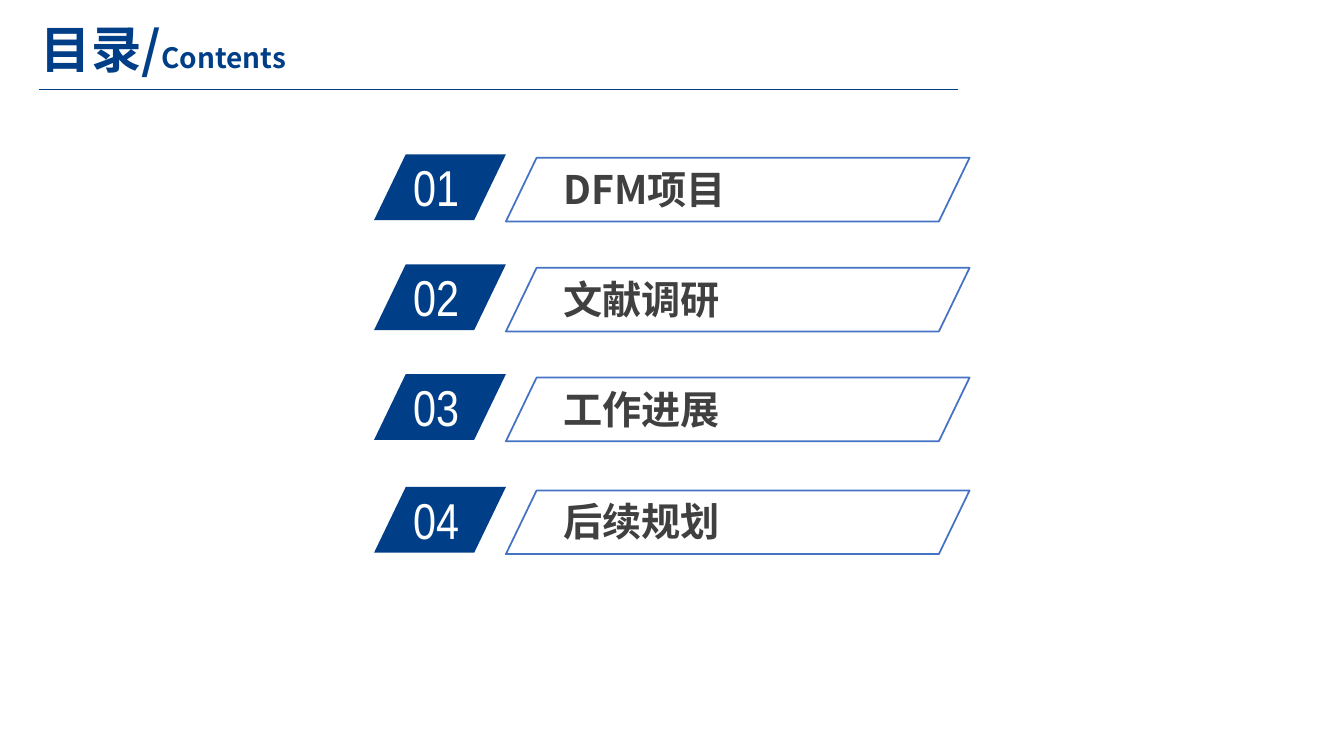
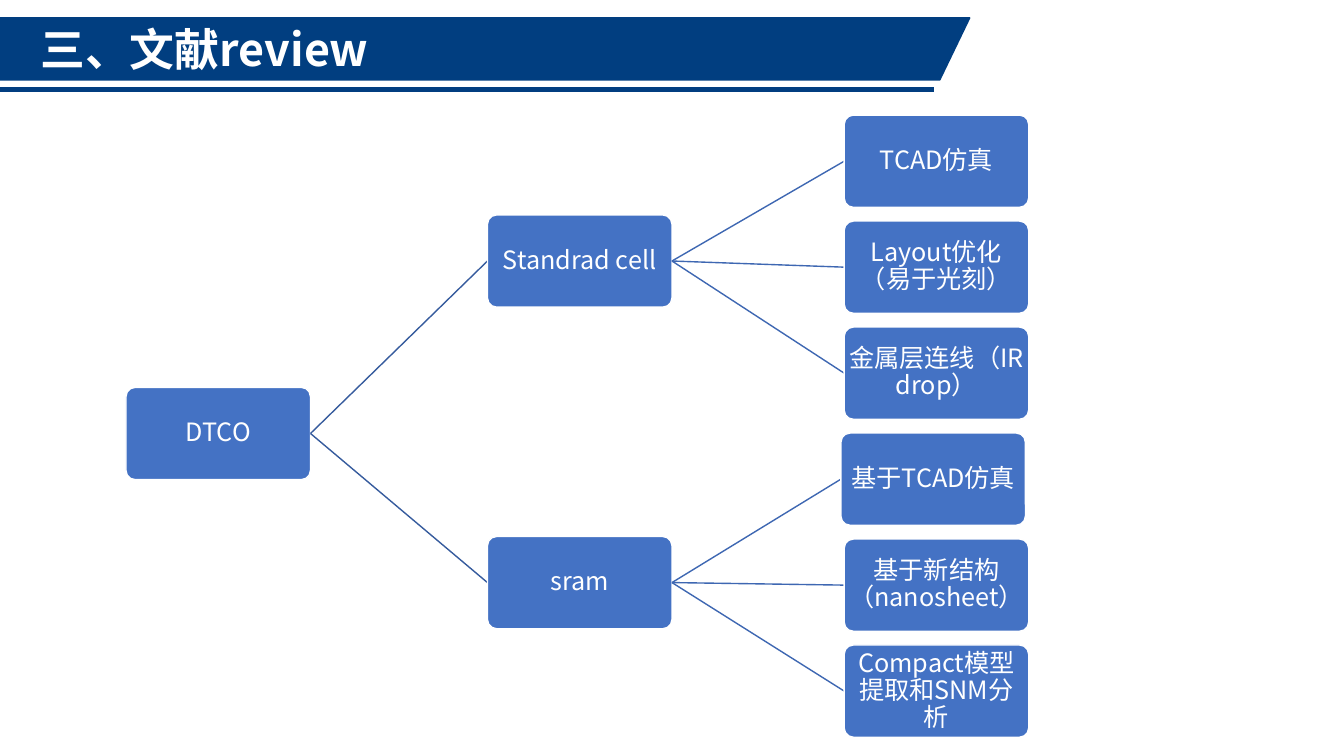
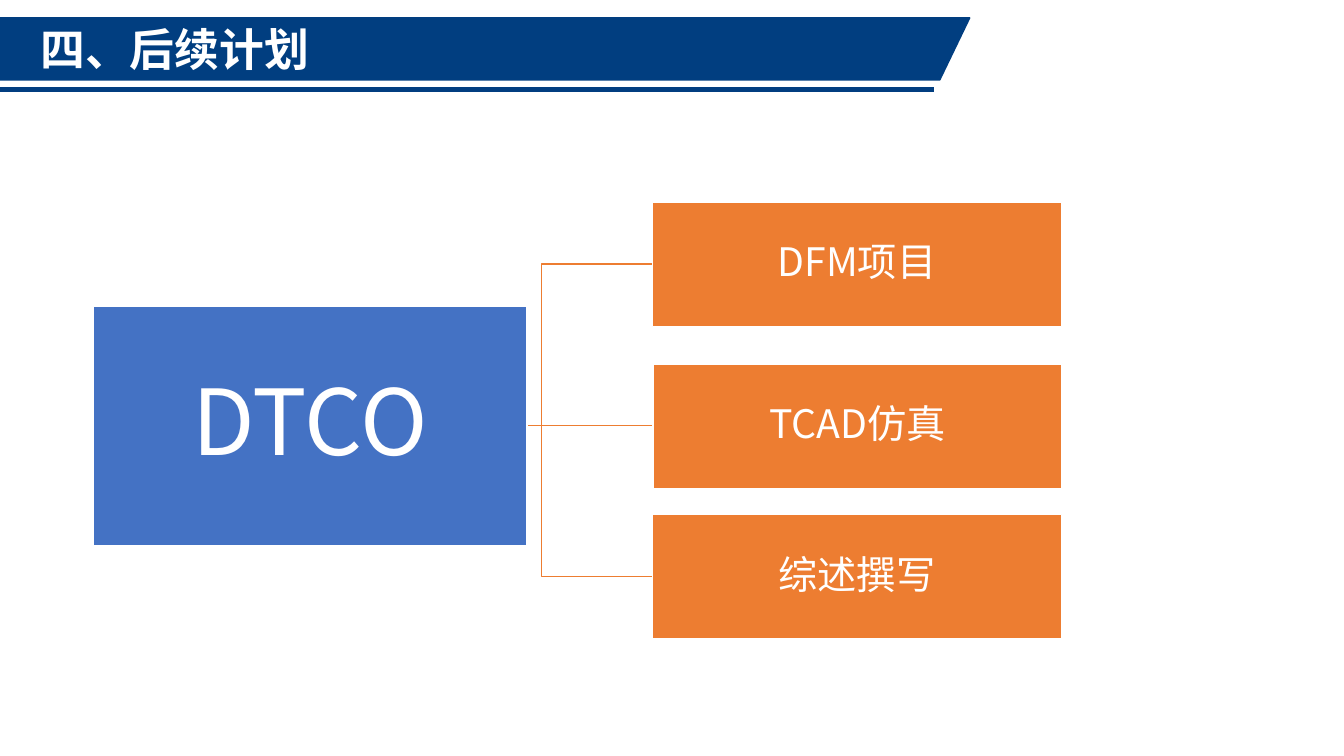
from lxml import etree
from pptx import Presentation
from pptx.dml.color import RGBColor
from pptx.enum.shapes import MSO_CONNECTOR, MSO_SHAPE
from pptx.enum.text import MSO_ANCHOR, PP_ALIGN
from pptx.oxml.ns import qn
from pptx.util import Pt

SLANT, ROUND, RECT = MSO_SHAPE.PARALLELOGRAM, MSO_SHAPE.ROUNDED_RECTANGLE, MSO_SHAPE.RECTANGLE
STRAIGHT, ELBOW = MSO_CONNECTOR.STRAIGHT, MSO_CONNECTOR.ELBOW
LEFT, CENTER = PP_ALIGN.LEFT, PP_ALIGN.CENTER
TOP, MIDDLE = MSO_ANCHOR.TOP, MSO_ANCHOR.MIDDLE

COLORS = {
    "navy": "003F88", "band": "013E80", "blue": "4472C4", "orange": "ED7D31",
    "trunk": "365B9D", "twig": "3E67B2", "ink": "404040", "white": "FFFFFF",
}
FONT, THIN = "Noto Sans CJK SC", "Arial Narrow"
SKEW = 0.482

AGENDA = [
    ("01", "DFM项目", 110.2),
    ("02", "文献调研", 188.8),
    ("03", "工作进展", 267.2),
    ("04", "后续规划", 347.8),
]
REVIEW = "三、文献review"
TREE = [
    ("Standrad cell", 153.5, ["TCAD仿真", "Layout优化（易于光刻）", "金属层连线（IR drop）"]),
    ("sram", 383.2, ["基于TCAD仿真", "基于新结构（nanosheet）", "Compact模型提取和SNM分析"]),
]
NUDGE = {"基于TCAD仿真": -2.3}
PLAN = "四、后续计划"
TASKS = [("DFM项目", 466, 144.2), ("TCAD仿真", 466.4, 259.9), ("综述撰写", 466, 367.4)]
ROOT = "DTCO"


def color(name):
    return RGBColor.from_string(COLORS[name])


def put_text(shape, runs, size=18, font=FONT, ink="white", bold=False,
             align=LEFT, anchor=TOP, inset=(5, 2.7), lead=None):
    frame = shape.text_frame
    frame.word_wrap = True
    frame.vertical_anchor = anchor
    frame.margin_left = frame.margin_right = Pt(inset[0])
    frame.margin_top = frame.margin_bottom = Pt(inset[1])
    para = frame.paragraphs[0]
    para.alignment = align
    if lead:
        para.line_spacing = lead
    for text, points in [(runs, size)] if isinstance(runs, str) else runs:
        run = para.add_run()
        run.text = text
        run.font.size = Pt(points)
        run.font.name = font
        run.font.bold = bold
        run.font.color.rgb = color(ink)
        east = etree.SubElement(run.font._element, qn("a:ea"))
        east.set("typeface", font)


def add_text(slide, box, runs, **style):
    put_text(slide.shapes.add_textbox(*map(Pt, box)), runs, **style)


def add_box(slide, kind, box, fill=None, line=None, width=1, adj=None):
    shape = slide.shapes.add_shape(kind, *map(Pt, box))
    shape.shadow.inherit = False
    if adj is not None:
        shape.adjustments[0] = adj
    if fill:
        shape.fill.solid()
        shape.fill.fore_color.rgb = color(fill)
    else:
        shape.fill.background()
    if line:
        shape.line.color.rgb = color(line)
        shape.line.width = Pt(width)
    else:
        shape.line.fill.background()
    return shape


def add_line(slide, start, end, ink, width=1, kind=STRAIGHT):
    line = slide.shapes.add_connector(kind, *map(Pt, (*start, *end)))
    line.line.color.rgb = color(ink)
    line.line.width = Pt(width)
    etree.SubElement(line._element.spPr, qn("a:effectLst"))


def add_node(slide, kind, box, text, fill="blue", size=18, inset=1, adj=None):
    node = add_box(slide, kind, box, fill, "white", adj=adj)
    put_text(node, text, size=size, align=CENTER, anchor=MIDDLE,
             inset=(inset, inset), lead=0.9)


def add_band(slide, title):
    add_box(slide, SLANT, (-21, 12.8, 713.5, 44.2), "band", "band", 1.25, SKEW)
    add_text(slide, (23.8, 12.8, 283, 44), title, size=32, bold=True)
    add_line(slide, (-0.7, 64), (667, 64), "band", 3.5)


def build_agenda(slide):
    add_text(slide, (-8.6, 15.1, 250.6, 38.9), [("目录/", 36), ("Contents", 20)],
             ink="navy", bold=True, align=CENTER, anchor=MIDDLE, inset=(7.2, 3.6))
    add_line(slide, (28, 64.1), (684, 64.1), "navy", 0.5)
    for number, label, top in AGENDA:
        add_box(slide, SLANT, (267.2, top, 94.2, 47), "navy", adj=SKEW)
        add_text(slide, (288, top - 2.1, 89.3, 51), number, size=36, font=THIN,
                 inset=(7.2, 3.6))
        add_text(slide, (397.5, top + 5, 242.6, 39.6), label, size=28, ink="ink", bold=True)
        add_box(slide, SLANT, (361.4, top + 2.5, 331.2, 45.5), None, "blue", 1.25, SKEW)


def build_tree(slide):
    add_band(slide, REVIEW)
    wide, high = 131.8, 65.9
    root, stem, leaf = (90, 276.7), 348.2, 603
    first, step = 82.2, 75.7

    def link(start, end, ink):
        add_line(slide, (start[0] + wide, start[1] + high / 2), (end[0], end[1] + high / 2), ink)

    def node(spot, text):
        add_node(slide, ROUND, (*spot, wide, high), text, adj=0.1)

    node(root, ROOT)
    row = 0
    for name, top, leaves in TREE:
        link(root, (stem, top), "trunk")
        node((stem, top), name)
        for text in leaves:
            spot = (leaf + NUDGE.get(text, 0), first + row * step)
            link((stem, top), spot, "twig")
            node(spot, text)
            row += 1


def build_plan(slide):
    add_band(slide, PLAN)
    wide, high = 292.3, 89
    hub = (307.4, 304.1)
    for _, left, top in TASKS:
        level = abs(top + high / 2 - hub[1]) < 2
        end = (left, hub[1] if level else top + high / 2)
        add_line(slide, hub, end, "orange", kind=STRAIGHT if level else ELBOW)
    add_node(slide, RECT, (66.8, 218.6, 309.6, 171.4), ROOT, size=65, inset=3.6)
    for text, left, top in TASKS:
        add_node(slide, RECT, (left, top, wide, high), text, "orange", 28, 1.4)


def main():
    deck = Presentation()
    deck.slide_width, deck.slide_height = Pt(960), Pt(540)
    for build in (build_agenda, build_tree, build_plan):
        build(deck.slides.add_slide(deck.slide_layouts[6]))
    deck.save("out.pptx")


if __name__ == "__main__":
    main()
